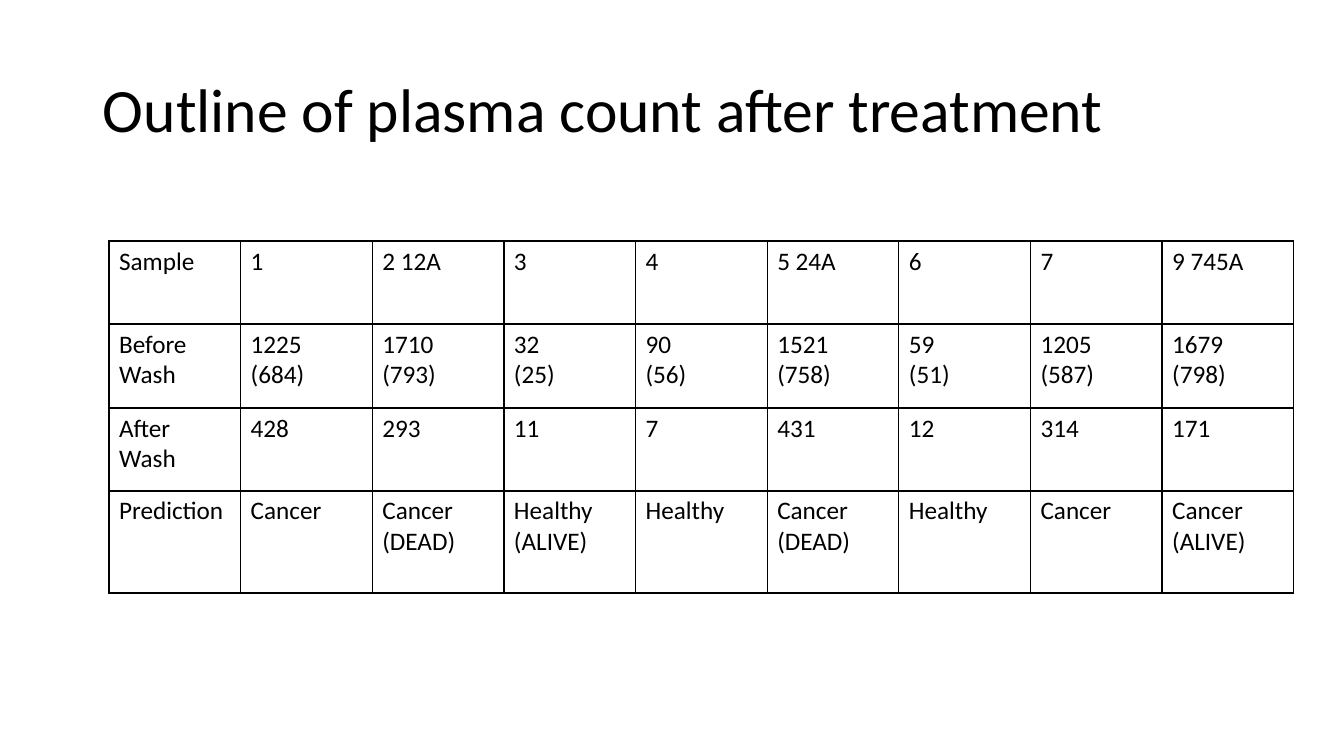
from lxml.etree import SubElement
from pptx import Presentation
from pptx.dml.color import RGBColor
from pptx.enum.text import MSO_ANCHOR as Anchor
from pptx.oxml.ns import qn
from pptx.util import Pt

PX = 914400 / 100.8
BLACK = RGBColor(0, 0, 0)
FACE = "Calibri"
TITLE = "Outline of plasma count after treatment"
ROWS = [
    ["Sample", "1", "2 12A", "3", "4", "5 24A", "6", "7", "9 745A"],
    ["Before Wash", "1225\n(684)", "1710\n(793)", "32\n(25)", "90\n(56)",
     "1521\n(758)", "59\n(51)", "1205\n(587)", "1679\n(798)"],
    ["After Wash", "428", "293", "11", "7", "431", "12", "314", "171"],
    ["Prediction", "Cancer", "Cancer\n(DEAD)", "Healthy\n(ALIVE)", "Healthy",
     "Cancer\n(DEAD)", "Healthy", "Cancer", "Cancer\n(ALIVE)"],
]
HEIGHTS = [83, 84, 83, 102]


def px(size):
    return round(size * PX)


def write(frame, text, size):
    frame.text = text
    for para in frame.paragraphs:
        for name, value in {"size": Pt(size), "name": FACE, "bold": False}.items():
            setattr(para.font, name, value)
        para.font.color.rgb = BLACK


def border(cell):
    props = cell._tc.get_or_add_tcPr()
    for side in ("a:lnL", "a:lnR", "a:lnT", "a:lnB"):
        line = SubElement(props, qn(side), w=str(Pt(1)))
        fill = SubElement(line, qn("a:solidFill"))
        SubElement(fill, qn("a:srgbClr"), val=str(BLACK))


def add_title(slide, left, top, width, height):
    frame = slide.shapes.add_textbox(*map(px, (left, top, width, height))).text_frame
    frame.word_wrap = True
    frame.vertical_anchor = Anchor.MIDDLE
    write(frame, TITLE, 44)
    frame.paragraphs[0].line_spacing = 0.9


def add_counts(slide, left, top, width):
    box = map(px, (left, top, width, sum(HEIGHTS)))
    table = slide.shapes.add_table(len(ROWS), len(ROWS[0]), *box).table
    table.first_row = table.horz_banding = False
    for col in table.columns:
        col.width = px(width / len(ROWS[0]))
    for row, high, texts in zip(table.rows, HEIGHTS, ROWS):
        row.height = px(high)
        for cell, text in zip(row.cells, texts):
            write(cell.text_frame, text, 18)
            border(cell)
            cell.fill.background()


def main():
    deck = Presentation()
    deck.slide_width, deck.slide_height = px(1344), px(756)
    slide = deck.slides.add_slide(deck.slide_layouts[6])
    # Heading
    add_title(slide, 93, 40, 1159, 146)
    # Plasma counts
    add_counts(slide, 109, 241, 1185)
    deck.save("out.pptx")


if __name__ == "__main__":
    main()
